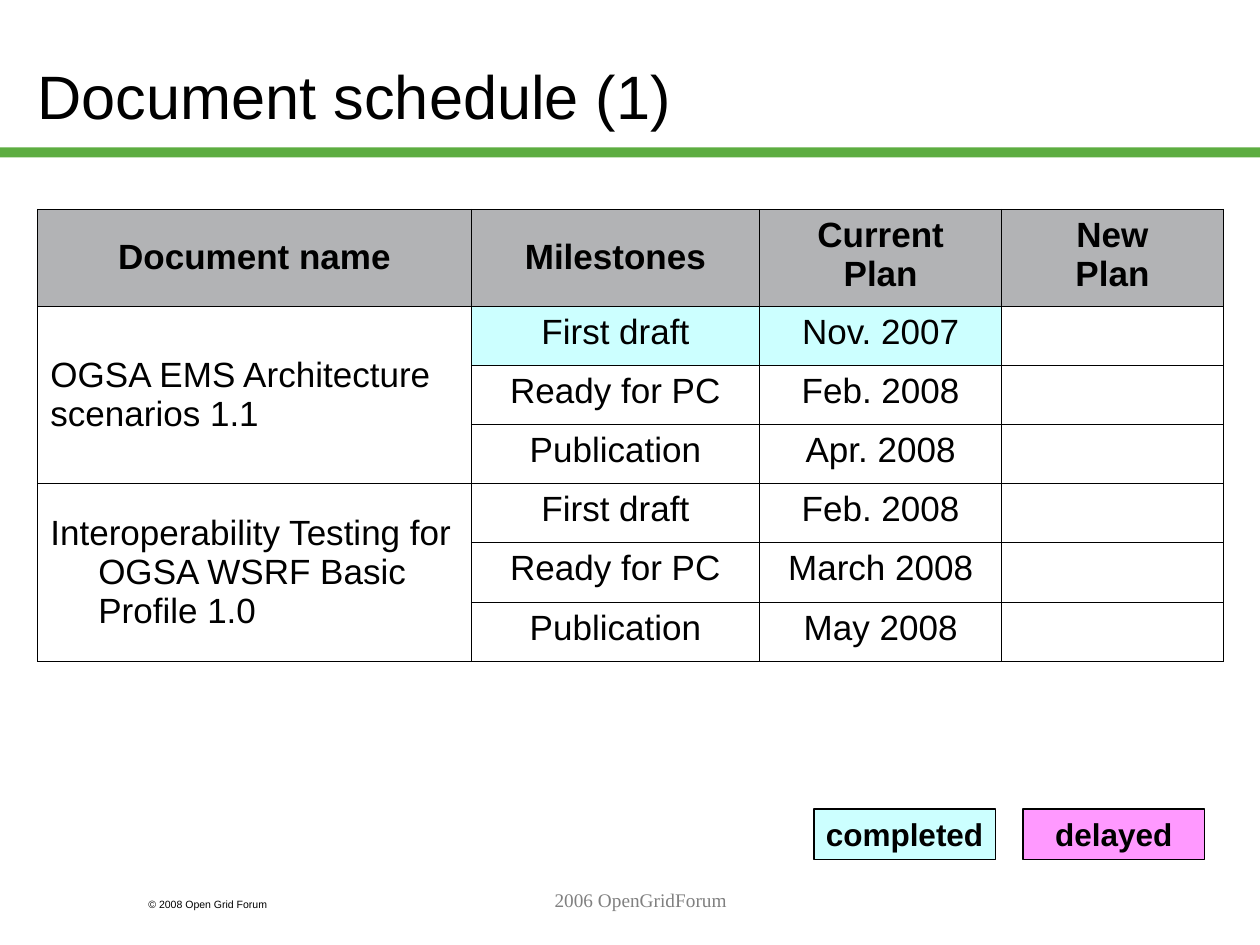
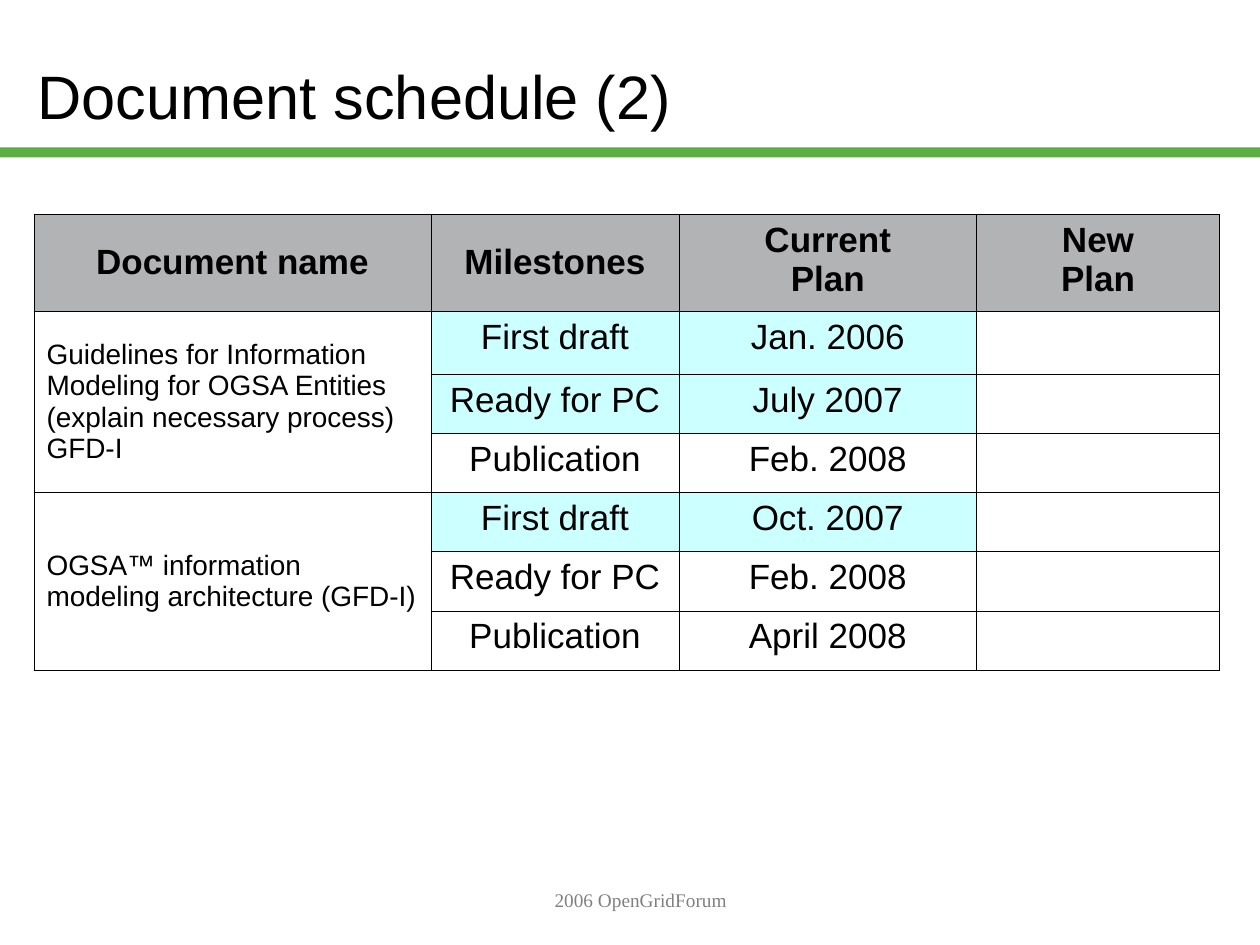
import lxml.etree
import pptx
import pptx.dml.color
import pptx.enum.shapes
import pptx.enum.text
import pptx.oxml.ns
import pptx.util

Inches = pptx.util.Inches
Pt = pptx.util.Pt
CENTER = pptx.enum.text.PP_ALIGN.CENTER
LEFT = pptx.enum.text.PP_ALIGN.LEFT
MIDDLE = pptx.enum.text.MSO_ANCHOR.MIDDLE
TOP = pptx.enum.text.MSO_ANCHOR.TOP
RECTANGLE = pptx.enum.shapes.MSO_SHAPE.RECTANGLE

COLORS = {
    "text": "000000",
    "band": "5DAD41",
    "header": "B2B3B5",
    "completed": "CCFFFF",
    "delayed": "FF99FF",
    "footer": "808080",
}
HANGING = Inches(0.38)
HEADINGS = ["Document name", "Milestones", "Current\nPlan", "New\nPlan"]
MILESTONES = ["First draft", "Ready for PC", "Publication"]
HEADER_HEIGHT, ROW_HEIGHT = 0.77, 0.47

# Each document: name, size, hanging indent, planned dates, milestones completed
SCHEDULES = [
    {
        "title": "Document schedule (1)",
        "corner": (0.3, 1.66),
        "columns": [3.44, 2.29, 1.92, 1.76],
        "first_row": ROW_HEIGHT,
        "documents": [
            ("OGSA EMS Architecture\nscenarios 1.1", 20, True,
             ["Nov. 2007", "Feb. 2008", "Apr. 2008"], 1),
            ("Interoperability Testing for OGSA WSRF Basic Profile 1.0", 20, True,
             ["Feb. 2008", "March 2008", "May 2008"], 0),
        ],
        "copyright": "© 2008 Open Grid Forum",
        "legend": ["completed", "delayed"],
    },
    {
        "title": "Document schedule (2)",
        "corner": (0.27, 1.7),
        "columns": [3.15, 1.97, 2.36, 1.93],
        "first_row": 0.5,
        "documents": [
            ("Guidelines for Information Modeling for OGSA Entities\n"
             "(explain necessary process)\nGFD-I", 16, False,
             ["Jan. 2006", "July 2007", "Feb. 2008"], 2),
            ("OGSA™ information\nmodeling architecture (GFD-I)", 16, True,
             ["Oct. 2007", "Feb. 2008", "April 2008"], 1),
        ],
        "copyright": None,
        "legend": [],
    },
]


def write(frame, text, size, align=LEFT, bold=False, color="text", font="Arial", hanging=False):
    """Fill a text frame with one paragraph per line of text."""
    for number, line in enumerate(text.split("\n")):
        para = frame.add_paragraph() if number else frame.paragraphs[0]
        para.alignment = align
        if hanging:
            properties = para._p.get_or_add_pPr()
            properties.set("marL", str(HANGING))
            properties.set("indent", str(-HANGING))
        span = para.add_run()
        span.text = line
        span.font.name = font
        span.font.size = Pt(size)
        span.font.bold = bold
        span.font.color.rgb = pptx.dml.color.RGBColor.from_string(COLORS[color])


def style_cell(cell, fill=None, anchor=TOP):
    """Give a cell thin black borders, a fill or none, and an anchor."""
    properties = cell._tc.get_or_add_tcPr()
    for side in ("a:lnL", "a:lnR", "a:lnT", "a:lnB"):
        border = lxml.etree.SubElement(properties, pptx.oxml.ns.qn(side), w=str(Pt(0.45)))
        solid = lxml.etree.SubElement(border, pptx.oxml.ns.qn("a:solidFill"))
        lxml.etree.SubElement(solid, pptx.oxml.ns.qn("a:srgbClr"), val=COLORS["text"])
    if fill:
        cell.fill.solid()
        cell.fill.fore_color.rgb = pptx.dml.color.RGBColor.from_string(COLORS[fill])
    else:
        cell.fill.background()
    cell.vertical_anchor = anchor


deck = pptx.Presentation()
deck.slide_width, deck.slide_height = Inches(10), Inches(7.5)

for schedule in SCHEDULES:
    page = deck.slides.add_slide(deck.slide_layouts[6])

    band = page.shapes.add_shape(RECTANGLE, 0, Inches(1.17), deck.slide_width, Inches(0.08))
    band.shadow.inherit = False
    band.fill.solid()
    band.fill.fore_color.rgb = pptx.dml.color.RGBColor.from_string(COLORS["band"])
    band.line.fill.background()

    if schedule["copyright"]:
        box = page.shapes.add_textbox(Inches(1.08), Inches(7.08), Inches(1.5), Inches(0.2))
        box.text_frame.word_wrap = True
        write(box.text_frame, schedule["copyright"], 6)

    title = page.shapes.add_textbox(Inches(0.2), Inches(0.13), Inches(8.5), Inches(1.25))
    title.text_frame.word_wrap = True
    title.text_frame.vertical_anchor = MIDDLE
    write(title.text_frame, schedule["title"], 35)

    # Schedule table: a header, then three milestone rows for each document
    left, top = schedule["corner"]
    widths = schedule["columns"]
    heights = [HEADER_HEIGHT, schedule["first_row"]] + [ROW_HEIGHT] * 5
    table = page.shapes.add_table(
        len(heights), len(widths), Inches(left), Inches(top),
        Inches(sum(widths)), Inches(sum(heights))).table
    table.first_row = table.horz_banding = False
    for column, width in zip(table.columns, widths):
        column.width = Inches(width)
    for row, height in zip(table.rows, heights):
        row.height = Inches(height)

    for column, heading in enumerate(HEADINGS):
        cell = table.cell(0, column)
        style_cell(cell, "header", TOP if "\n" in heading else MIDDLE)
        write(cell.text_frame, heading, 20, CENTER, bold=True, hanging=True)

    for number, (name, size, hanging, dates, completed) in enumerate(schedule["documents"]):
        first = 1 + number * len(MILESTONES)
        for step, (milestone, date) in enumerate(zip(MILESTONES, dates)):
            fill = "completed" if step < completed else None
            style_cell(table.cell(first + step, 0), anchor=MIDDLE)
            for column, text in ((1, milestone), (2, date)):
                cell = table.cell(first + step, column)
                style_cell(cell, fill)
                write(cell.text_frame, text, 20, CENTER, hanging=True)
            style_cell(table.cell(first + step, 3))
        name_cell = table.cell(first, 0)
        name_cell.merge(table.cell(first + len(MILESTONES) - 1, 0))
        write(name_cell.text_frame, name, size, hanging=hanging)

    for number, status in enumerate(schedule["legend"]):
        key = page.shapes.add_shape(
            RECTANGLE, Inches(6.46 + 1.66 * number), Inches(6.42), Inches(1.44), Inches(0.4))
        key.shadow.inherit = False
        key.fill.solid()
        key.fill.fore_color.rgb = pptx.dml.color.RGBColor.from_string(COLORS[status])
        key.line.color.rgb = pptx.dml.color.RGBColor.from_string(COLORS["text"])
        key.line.width = Pt(0.75)
        key.text_frame.word_wrap = False
        key.text_frame.vertical_anchor = MIDDLE
        write(key.text_frame, status, 18, CENTER, bold=True)

    footer = page.shapes.add_textbox(Inches(2.17), Inches(7), Inches(5.83), Inches(0.5))
    footer.text_frame.word_wrap = True
    write(footer.text_frame, "2006 OpenGridForum", 11, CENTER, color="footer", font="Times New Roman")

deck.save("out.pptx")
